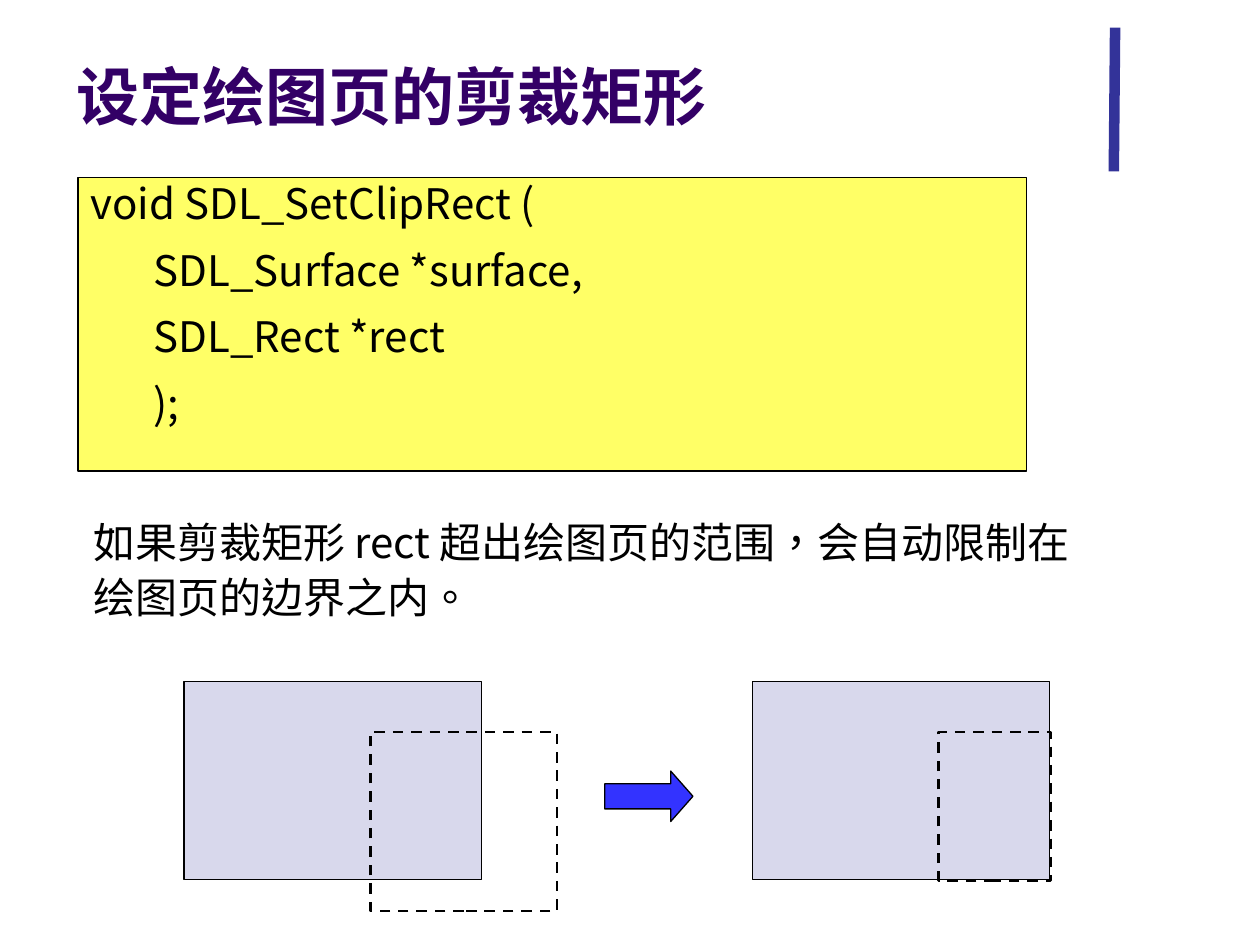
from lxml import etree
from pptx import Presentation, util as u
from pptx.dml.color import RGBColor
from pptx.enum import dml, shapes, text
from pptx.oxml.ns import qn

FONT = "Noto Sans CJK SC"
WIDTH, HEIGHT = 10, 7.5


def colour(value):
    return RGBColor.from_string(value)


def inches(*lengths):
    return [u.Inches(length) for length in lengths]


def place(box, left, top, width, height):
    box.left, box.top, box.width, box.height = inches(left, top, width, height)


def set_frame(frame, top=0.05, bottom=0.05, anchor=text.MSO_ANCHOR.TOP):
    frame.word_wrap = True
    frame.auto_size = text.MSO_AUTO_SIZE.NONE
    frame.vertical_anchor = anchor
    frame.margin_left, frame.margin_right = inches(0.1, 0.1)
    frame.margin_top, frame.margin_bottom = inches(top, bottom)


def write(para, words, size=24, fill="000000", bold=False, before=0,
          spacing=1.0, indent=0, language="zh-CN"):
    para.alignment = text.PP_ALIGN.LEFT
    para.space_before = u.Pt(before)
    para.line_spacing = spacing
    properties = para._p.get_or_add_pPr()
    properties.set("marL", str(u.Inches(indent)))
    properties.set("indent", "0")
    span = para.add_run()
    span.text = words
    span.font.name = FONT
    span.font.size = u.Pt(size)
    span.font.bold = bold
    span.font.color.rgb = colour(fill)
    run_properties = span._r.get_or_add_rPr()
    run_properties.set("lang", language)
    etree.SubElement(run_properties, qn("a:ea")).set("typeface", FONT)


def add_shape(page, area, kind=shapes.MSO_SHAPE.RECTANGLE, fill=None,
              weight=0.75, dashed=False):
    box = page.shapes.add_shape(kind, *inches(*area))
    box.shadow.inherit = False
    if fill:
        box.fill.solid()
        box.fill.fore_color.rgb = colour(fill)
    else:
        box.fill.background()
    box.line.color.rgb = colour("000000")
    box.line.width = u.Pt(weight)
    if dashed:
        box.line.dash_style = dml.MSO_LINE.DASH
    return box


def add_accent(page):
    line = page.shapes.add_connector(
        shapes.MSO_CONNECTOR.STRAIGHT, *inches(8.85, 0.22, 8.84, 1.36))
    line.line.color.rgb = colour("333399")
    line.line.width = u.Pt(6)
    etree.SubElement(line._element.spPr, qn("a:effectLst"))


def add_title(page, words):
    title = page.shapes.title
    place(title, 0.51, 0.28, 8.25, 0.8)
    set_frame(title.text_frame, bottom=0.02, anchor=text.MSO_ANCHOR.BOTTOM)
    write(title.text_frame.paragraphs[0], words, size=36, fill="330066", bold=True)


def add_code(page, lines):
    box = add_shape(page, (0.62, 1.41, 7.53, 2.33), fill="FFFF66")
    frame = box.text_frame
    set_frame(frame, top=0, bottom=0)
    for index, line in enumerate(lines):
        para = frame.add_paragraph() if index else frame.paragraphs[0]
        write(para, line, before=9.25 if index else 0, indent=0.5 if index else 0)


def add_note(page, words):
    box = page.shapes.add_textbox(*inches(0.64, 4, 7.95, 1.14))
    set_frame(box.text_frame, top=0.07)
    write(box.text_frame.paragraphs[0], words, spacing=1.08, language="zh-TW")


def add_clipping(page):
    surface_top, clip_top = 5.41, 5.81
    clips = ((1.46, 1.48, 1.42), (5.97, 0.89, 1.18))
    for left, clip_width, clip_height in clips:
        add_shape(page, (left, surface_top, 2.36, 1.57), fill="D8D8EC")
        add_shape(page, (left + 1.48, clip_top, clip_width, clip_height),
                  weight=1.5, dashed=True)
    arrow = add_shape(page, (4.8, 6.12, 0.7, 0.4),
                      kind=shapes.MSO_SHAPE.RIGHT_ARROW, fill="3333FF")
    arrow.adjustments[0] = 0.5
    arrow.adjustments[1] = 0.44


def main():
    deck = Presentation()
    deck.slide_width, deck.slide_height = inches(WIDTH, HEIGHT)
    page = deck.slides.add_slide(deck.slide_layouts.get_by_name("Title Only"))
    add_accent(page)
    add_title(page, "设定绘图页的剪裁矩形")
    add_code(page, ("void SDL_SetClipRect (", "SDL_Surface *surface,",
                    "SDL_Rect *rect", ");"))
    add_note(page, "如果剪裁矩形 rect 超出绘图页的范围，会自动限制在绘图页的边界之内。")
    add_clipping(page)
    deck.save("out.pptx")


if __name__ == "__main__":
    main()
